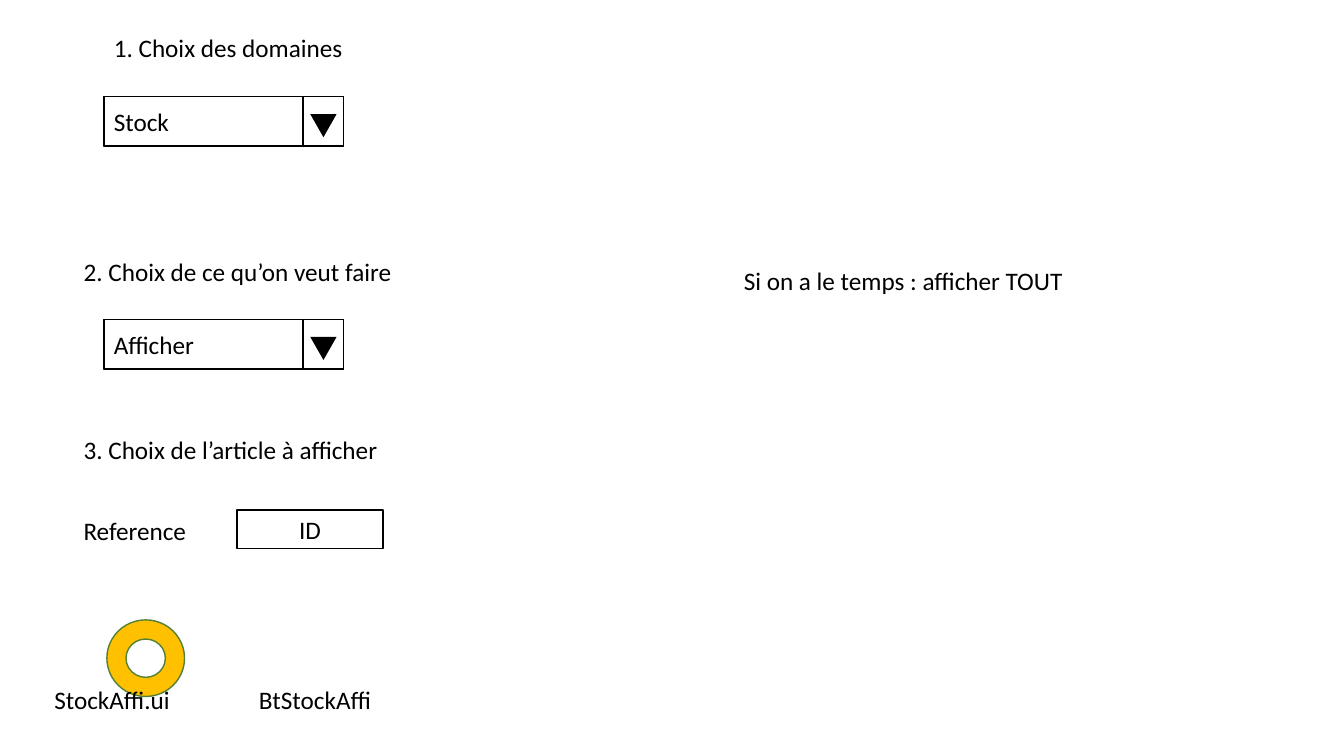
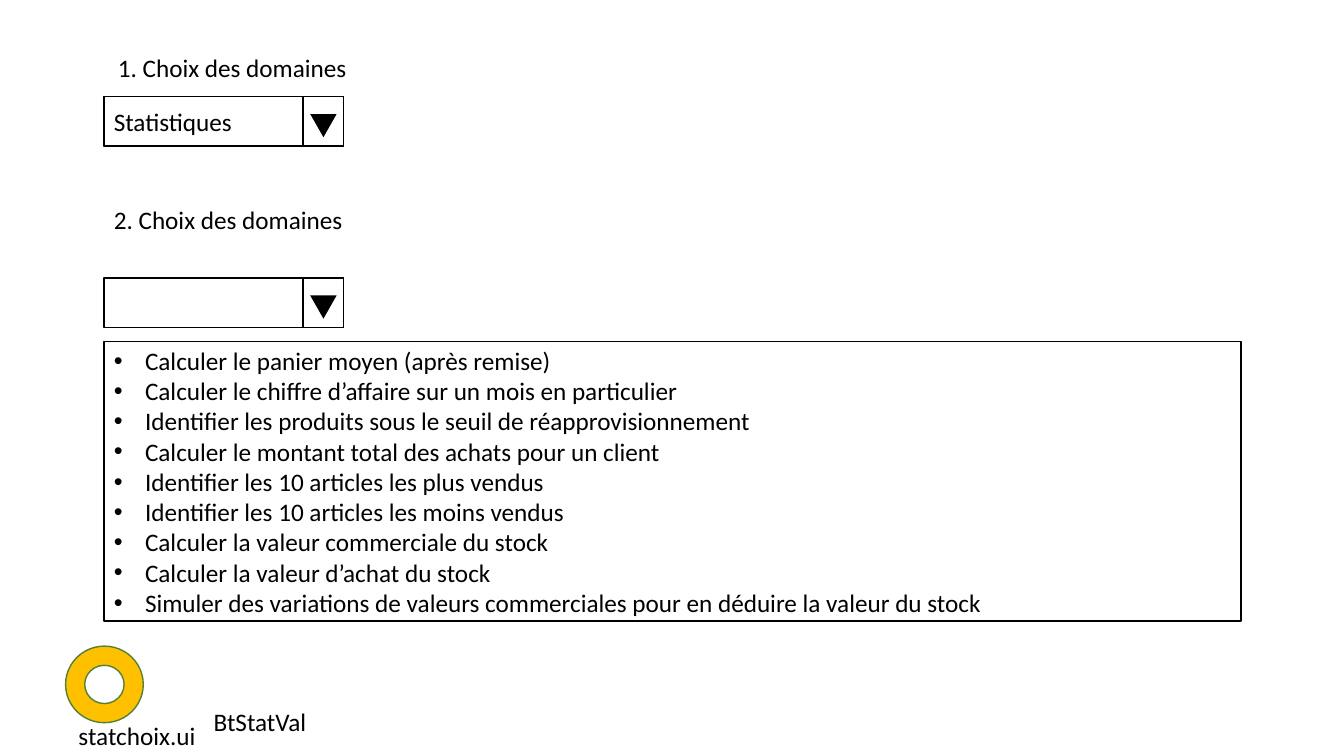
from collections import namedtuple
from dataclasses import dataclass

from lxml.etree import SubElement
from pptx import Presentation
from pptx.dml.color import RGBColor
from pptx.enum.shapes import MSO_SHAPE
from pptx.enum.text import MSO_ANCHOR, MSO_AUTO_SIZE, PP_ALIGN
from pptx.oxml.ns import qn
from pptx.util import Inches, Pt


@dataclass(frozen=True)
class Theme:
    ink: RGBColor = RGBColor(0x00, 0x00, 0x00)
    ring: RGBColor = RGBColor(0xFF, 0xC0, 0x00)
    ring_edge: RGBColor = RGBColor(0x53, 0x80, 0x35)
    font: str = "Calibri"
    size: Pt = Pt(18)
    border: Pt = Pt(1)
    indent: Inches = Inches(0.31)


THEME = Theme()
SLIDE_W, SLIDE_H = Inches(13.33), Inches(7.5)
COLUMN, ROW = SLIDE_W / 100, SLIDE_H / 100
LABEL_ROWS = 5.33
FIELD_LEFT = 7.73
SELECT_COLUMNS, SELECT_ROWS = 17.85, 6.53
VALUE_SHARE = 0.83

TEXT_FORMAT = {"name": THEME.font, "size": THEME.size}
LABEL_FRAME = {"auto_size": MSO_AUTO_SIZE.SHAPE_TO_FIT_TEXT}
FIELD_FRAME = {"word_wrap": True, "vertical_anchor": MSO_ANCHOR.MIDDLE}


class Box(namedtuple("Box", "left top width height")):
    def inner(self, x, y, width, height):
        return Box(self.left + x * self.width, self.top + y * self.height,
                   width * self.width, height * self.height)

    def emu(self):
        return (round(self.left * COLUMN), round(self.top * ROW),
                round(self.width * COLUMN), round(self.height * ROW))


def apply(target, formats):
    for name, value in formats.items():
        setattr(target, name, value)


def add_bullet(paragraph):
    properties = paragraph._p.get_or_add_pPr()
    properties.set("marL", str(THEME.indent))
    properties.set("indent", str(-THEME.indent))
    SubElement(properties, qn("a:buFont")).set("typeface", "Arial")
    SubElement(properties, qn("a:buChar")).set("char", "•")


def write(frame, lines, align=PP_ALIGN.LEFT, bullets=False):
    for index, line in enumerate(lines):
        paragraph = frame.paragraphs[0] if index == 0 else frame.add_paragraph()
        paragraph.alignment = align
        if bullets:
            add_bullet(paragraph)
        run = paragraph.add_run()
        run.text = line
        apply(run.font, TEXT_FORMAT)
        run.font.color.rgb = THEME.ink


def add_figure(slide, preset, box, fill=None, edge=None):
    figure = slide.shapes.add_shape(preset, *box.emu())
    figure.shadow.inherit = False
    if fill is None:
        figure.fill.background()
    else:
        figure.fill.solid()
        figure.fill.fore_color.rgb = fill
    if edge is None:
        figure.line.fill.background()
    else:
        figure.line.color.rgb = edge
        figure.line.width = THEME.border
    return figure


def add_label(slide, text, left, top, width, wrap=False):
    label = slide.shapes.add_textbox(*Box(left, top, width, LABEL_ROWS).emu())
    apply(label.text_frame, LABEL_FRAME | {"word_wrap": wrap})
    write(label.text_frame, [text])


def add_field(slide, box, lines=(), **style):
    field = add_figure(slide, MSO_SHAPE.RECTANGLE, box, edge=THEME.ink)
    apply(field.text_frame, FIELD_FRAME)
    write(field.text_frame, lines, **style)


def add_select(slide, top, value=None):
    box = Box(FIELD_LEFT, top, SELECT_COLUMNS, SELECT_ROWS)
    add_field(slide, box)
    add_field(slide, box.inner(VALUE_SHARE, 0, 1 - VALUE_SHARE, 1))
    arrow = add_figure(slide, MSO_SHAPE.ISOSCELES_TRIANGLE,
                       box.inner(0.86, 0.35, 0.11, 0.47), fill=THEME.ink)
    arrow.rotation = 180
    if value:
        add_field(slide, box.inner(0, 0, VALUE_SHARE, 1), [value])


def add_ring(slide, left, top):
    add_figure(slide, MSO_SHAPE.DONUT, Box(left, top, 5.78, 10.13),
               fill=THEME.ring, edge=THEME.ring_edge)


def build_stock(slide):
    add_label(slide, "1. Choix des domaines", FIELD_LEFT, 3.6, 18.75)
    add_select(slide, 12.8, "Stock")
    add_label(slide, "2. Choix de ce qu’on veut faire", 5.48, 33.2, 24.83)
    add_select(slide, 42.27, "Afficher")
    add_label(slide, "3. Choix de l’article à afficher", 5.48, 56.8, 23.7)
    add_label(slide, "Reference", 5.48, 67.47, 11.63, wrap=True)
    add_field(slide, Box(17.63, 67.47, 10.88, 5.07), ["ID"], align=PP_ALIGN.CENTER)
    add_label(slide, "Si on a le temps : afficher TOUT", 54.6, 34.4, 25.58)
    add_ring(slide, 7.95, 82)
    add_label(slide, "StockAffi.ui", 3.3, 89.87, 12.3, wrap=True)
    add_label(slide, "BtStockAffi", 18.53, 89.87, 12.3, wrap=True)


def build_statistics(slide):
    calculations = [
        "Calculer le panier moyen (après remise)",
        "Calculer le chiffre d’affaire sur un mois en particulier",
        "Identifier les produits sous le seuil de réapprovisionnement",
        "Calculer le montant total des achats pour un client",
        "Identifier les 10 articles les plus vendus",
        "Identifier les 10 articles les moins vendus",
        "Calculer la valeur commerciale du stock",
        "Calculer la valeur d’achat du stock",
        "Simuler des variations de valeurs commerciales pour en déduire la valeur du stock",
    ]
    add_label(slide, "1. Choix des domaines", 8.03, 6.27, 18.75)
    add_select(slide, 12.8, "Statistiques")
    add_label(slide, "2. Choix des domaines", FIELD_LEFT, 26.4, 18.75)
    add_select(slide, 36.8)
    add_field(slide, Box(FIELD_LEFT, 45.2, 84.6, 36.93), calculations, bullets=True)
    add_label(slide, "statchoix.ui", 5.1, 94.67, 14.18, wrap=True)
    add_label(slide, "BtStatVal", 15.15, 92.8, 50.03, wrap=True)
    add_ring(slide, 4.88, 85.47)


def main():
    deck = Presentation()
    apply(deck, {"slide_width": SLIDE_W, "slide_height": SLIDE_H})
    for build in (build_stock, build_statistics):
        build(deck.slides.add_slide(deck.slide_layouts[6]))
    deck.save("out.pptx")


if __name__ == "__main__":
    main()
